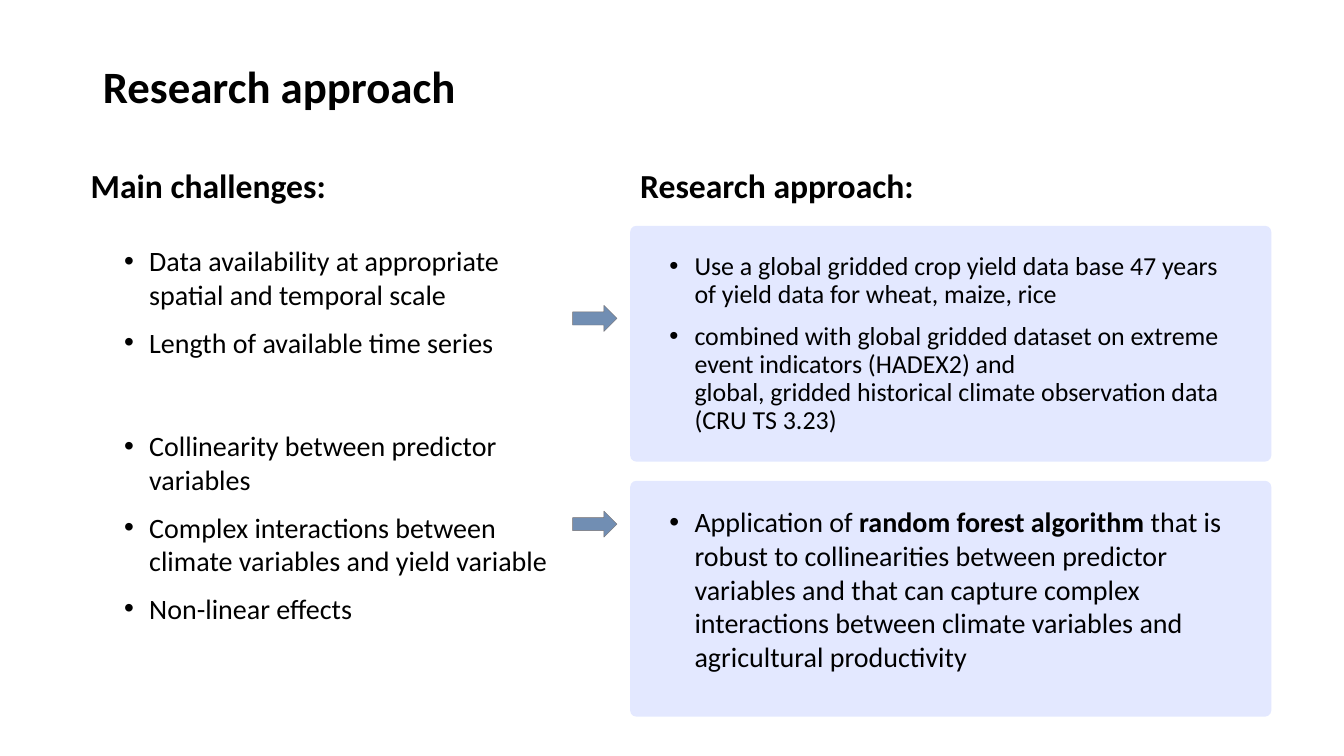
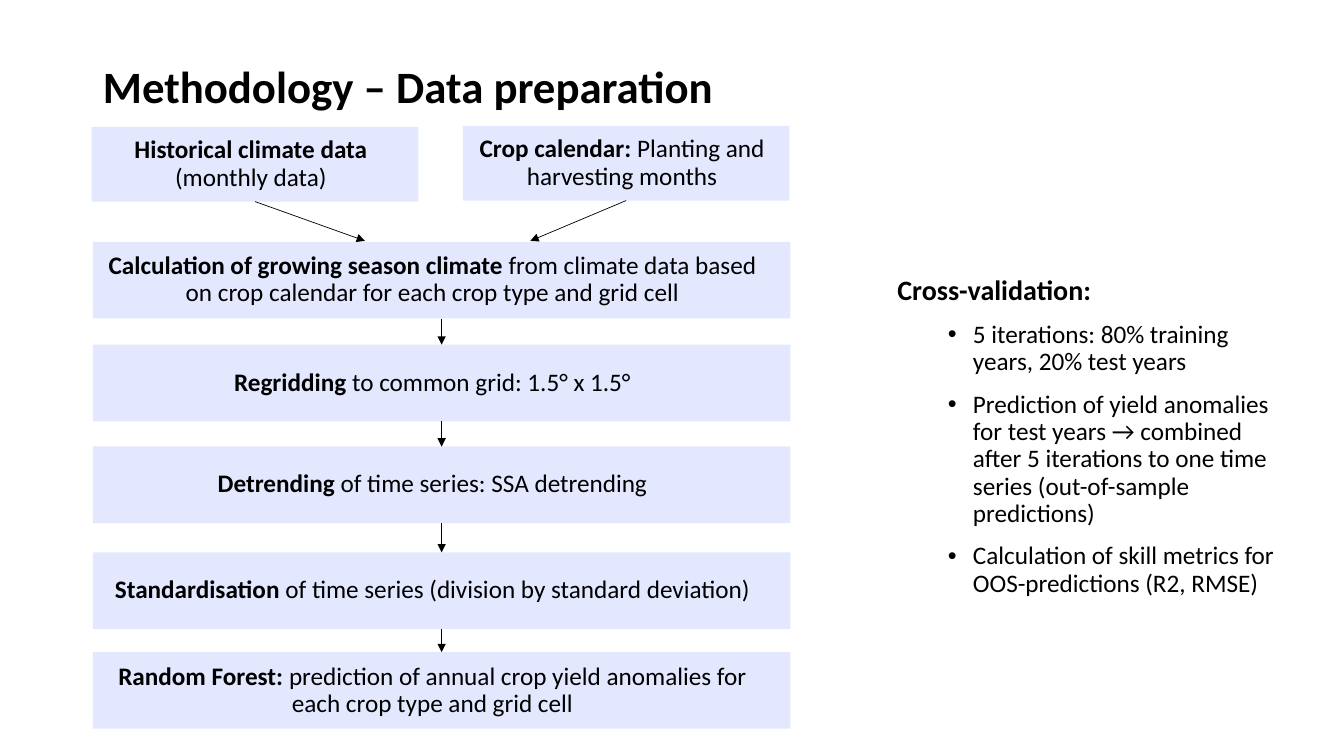
from dataclasses import dataclass
from itertools import pairwise

from lxml import etree
from pptx import Presentation
from pptx import util as u
from pptx.dml.color import RGBColor
from pptx.enum import shapes, text
from pptx.oxml import ns

PX = 9144  # EMU per px, 100 px to the inch


@dataclass(frozen=True)
class Theme:
    font: str = "Calibri"
    ink: str = "000000"
    panel: str = "E3E8FF"
    arrow: str = "718EB3"
    arrow_edge: str = "767171"
    title: float = 32
    heading: float = 24
    body: float = 20
    compact: float = 18.5
    small: float = 18


THEME = Theme()


@dataclass(frozen=True)
class Box:
    left: int
    top: int
    width: int
    height: int

    def emu(self) -> list[int]:
        return [v * PX for v in (self.left, self.top, self.width, self.height)]


@dataclass(frozen=True)
class Span:
    text: str
    bold: bool = False


@dataclass(frozen=True)
class Para:
    spans: tuple[Span, ...]
    size: float
    bullet_at: int | None = None  # text indent in px, None for no bullet
    level: int = 0
    line: float = 1.0
    before: float = 0
    after: float = 0
    align: text.PP_ALIGN = text.PP_ALIGN.LEFT


@dataclass(frozen=True)
class Card:
    top: int
    inset: int
    arrow_top: int
    paras: tuple[Para, ...]


@dataclass(frozen=True)
class Step:
    box: Box
    lead: str
    rest: str
    right_inset: int = 28


TITLE_BOX = Box(92, 50, 1040, 76)
MIDDLE = text.MSO_ANCHOR.MIDDLE
TOP = text.MSO_ANCHOR.TOP


# Text
def write_para(para, content: Para, first: bool) -> None:
    props = para._p.get_or_add_pPr()
    hang = 0 if content.bullet_at is None else 25
    props.set("marL", str((content.bullet_at or 0) * PX))
    props.set("indent", str(-hang * PX))
    if hang:
        etree.SubElement(props, ns.qn("a:buFont"), typeface="Arial")
        etree.SubElement(props, ns.qn("a:buChar"), char="•")
    else:
        etree.SubElement(props, ns.qn("a:buNone"))
    para.level = content.level
    para.alignment = content.align
    para.line_spacing = content.line
    para.space_before = u.Pt(0 if first else content.before)
    para.space_after = u.Pt(content.after)
    for span in content.spans:
        for i, piece in enumerate(span.text.split("\n")):
            if i:
                para.add_line_break()
            run = para.add_run()
            run.text = piece
            run.font.name = THEME.font
            run.font.size = u.Pt(content.size)
            run.font.bold = span.bold
            run.font.color.rgb = RGBColor.from_string(THEME.ink)


def write(shape, paras: tuple[Para, ...], anchor=TOP, insets=(10, 5, 10, 5)) -> None:
    frame = shape.text_frame
    frame.word_wrap = True
    frame.auto_size = text.MSO_AUTO_SIZE.NONE
    frame.vertical_anchor = anchor
    (frame.margin_left, frame.margin_top,
     frame.margin_right, frame.margin_bottom) = [v * PX for v in insets]
    for i, content in enumerate(paras):
        target = frame.add_paragraph() if i else frame.paragraphs[0]
        write_para(target, content, first=i == 0)


def fill_placeholder(holder, box: Box, paras: tuple[Para, ...], anchor=TOP) -> None:
    holder.left, holder.top, holder.width, holder.height = box.emu()
    write(holder, paras, anchor)


def heading(words: str, size: float) -> tuple[Para, ...]:
    return (Para((Span(words, True),), size, line=0.9),)


def bullet(*spans: Span, size: float = THEME.body, **style) -> Para:
    return Para(spans, size, **{"bullet_at": 25, "before": 10, **style})


# Shapes
def add_panel(slide, kind, box: Box, fill: str, edge: str | None = None):
    panel = slide.shapes.add_shape(kind, *box.emu())
    panel.shadow.inherit = False
    panel.fill.solid()
    panel.fill.fore_color.rgb = RGBColor.from_string(fill)
    if edge:
        panel.line.color.rgb = RGBColor.from_string(edge)
        panel.line.width = u.Pt(0.25)
    else:
        panel.line.fill.background()
    return panel


def add_arrow(slide, source, target, end: tuple[int, int] | None = None) -> None:
    """Arrow from the foot of source to the top of target, or to a point on it."""
    x, y = end or (0, 0)
    arrow = slide.shapes.add_connector(
        shapes.MSO_CONNECTOR.STRAIGHT, 0, 0, x * PX, y * PX)
    arrow.begin_connect(source, 2)
    if end is None:
        arrow.end_connect(target, 0)
    arrow.line.color.rgb = RGBColor.from_string(THEME.ink)
    arrow.line.width = u.Pt(0.5)
    etree.SubElement(arrow.line._get_or_add_ln(), ns.qn("a:tailEnd"), type="triangle")
    etree.SubElement(arrow._element.spPr, ns.qn("a:effectLst"))


def new_slide(deck, layout: str, title: str):
    slide = deck.slides.add_slide(deck.slide_layouts.get_by_name(layout))
    fill_placeholder(slide.shapes.title, TITLE_BOX, heading(title, THEME.title), MIDDLE)
    return slide


# Slide 1: challenges and answers
CHALLENGES = (
    bullet(Span("Data availability at appropriate spatial and temporal scale")),
    bullet(Span("Length of available time series")),
    bullet(Span("Collinearity between predictor variables"), before=50),
    bullet(Span("Complex interactions between climate variables and yield variable")),
    bullet(Span("Non-linear effects")),
)
ANSWERS = (
    Card(224, 25, 303, (
        bullet(Span("Use a global gridded crop yield data base 47 years of yield data "
                    "for wheat, maize, rice"), size=THEME.compact, line=0.9),
        bullet(Span("combined with global gridded dataset on extreme event indicators "
                    "(HADEX2) and\nglobal, gridded historical climate observation data "
                    "(CRU TS 3.23)"), size=THEME.compact, line=0.9),
    )),
    Card(477, 22, 507, (
        bullet(Span("Application of "), Span("random forest algorithm ", True),
               Span("that is robust to collinearities between predictor variables and "
                    "that can capture complex interactions between climate variables "
                    "and agricultural productivity")),
    )),
)


def build_approach(deck) -> None:
    slide = new_slide(deck, "Comparison", "Research approach")
    holders = slide.placeholders
    for idx, left, words in ((1, 80, "Main challenges:"), (3, 625, "Research approach:")):
        fill_placeholder(holders[idx], Box(left, 148, 429, 76),
                         heading(words, THEME.heading), MIDDLE)
    fill_placeholder(holders[2], Box(113, 237, 442, 421), CHALLENGES)
    spare = holders[4]._element
    spare.getparent().remove(spare)

    for card in ANSWERS:
        panel = add_panel(slide, shapes.MSO_SHAPE.ROUNDED_RECTANGLE,
                          Box(625, card.top, 636, 234), THEME.panel)
        panel.adjustments[0] = 0.027
        write(panel, card.paras, insets=(37, card.inset, 37, 5))
        add_panel(slide, shapes.MSO_SHAPE.RIGHT_ARROW,
                  Box(568, card.arrow_top, 44, 26), THEME.arrow, THEME.arrow_edge)


# Slide 2: preparation flow and validation
INPUTS = (
    Step(Box(91, 126, 324, 74), "Historical climate data ", "(monthly data)", 18),
    Step(Box(459, 125, 324, 74), "Crop calendar: ", "Planting and harvesting months", 18),
)
INPUT_ENDS = ((362, 239), (526, 239))
STEPS = tuple(Step(Box(92, top, 692, 76), lead, rest) for top, lead, rest in (
    (240, "Calculation of growing season climate ",
     "from climate data based on crop calendar for each crop type and grid cell"),
    (342, "Regridding", " to common grid: 1.5° x 1.5°"),
    (443, "Detrending", " of time series: SSA detrending"),
    (548, "Standardisation", " of time series (division by standard deviation)"),
    (647, "Random Forest: ",
     "prediction of annual crop yield anomalies for each crop type and grid cell"),
))
VALIDATION = (
    "5 iterations: 80% training years, 20% test years",
    "Prediction of yield anomalies for test years → combined after 5 iterations "
    "to one time series (out-of-sample predictions)",
    "Calculation of skill metrics for OOS-predictions (R2, RMSE)",
)


def add_step(slide, step: Step):
    panel = add_panel(slide, shapes.MSO_SHAPE.RECTANGLE, step.box, THEME.panel)
    label = Para((Span(step.lead, True), Span(step.rest)), THEME.small,
                 line=0.9, after=6, align=text.PP_ALIGN.CENTER)
    write(panel, (label,), MIDDLE, (10, 5, step.right_inset, 5))
    return panel


def build_methodology(deck) -> None:
    slide = new_slide(deck, "Title and Content", "Methodology – Data preparation")
    points = tuple(bullet(Span(words), size=THEME.small, bullet_at=75, level=1,
                          line=0.9, before=5, after=6) for words in VALIDATION)
    lead = Para((Span("Cross-validation:", True),), THEME.body, line=0.9, after=6)
    fill_placeholder(slide.placeholders[1], Box(880, 269, 408, 355), (lead, *points))

    inputs = [add_step(slide, step) for step in INPUTS]
    steps = [add_step(slide, step) for step in STEPS]
    for source, end in zip(inputs, INPUT_ENDS):
        add_arrow(slide, source, steps[0], end)
    for source, target in pairwise(steps):
        add_arrow(slide, source, target)


def main() -> None:
    deck = Presentation()
    deck.slide_width, deck.slide_height = u.Inches(13.33), u.Inches(7.5)
    build_approach(deck)
    build_methodology(deck)
    deck.save("out.pptx")


if __name__ == "__main__":
    main()
